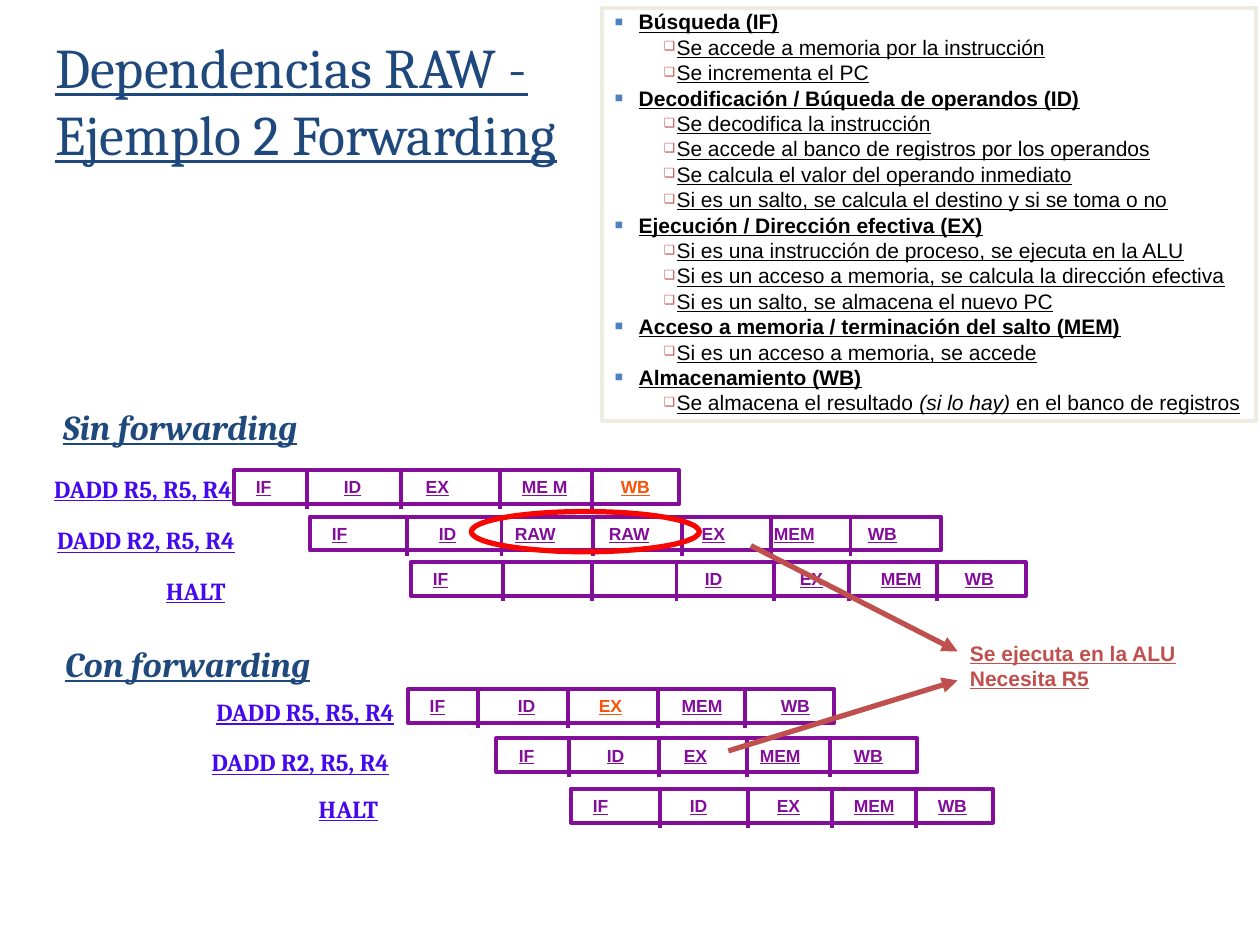
from dataclasses import dataclass

from lxml import etree
from pptx import Presentation
from pptx import util as u
from pptx.dml import color
from pptx.enum import shapes, text
from pptx.oxml import ns

HEX = {
    "row": "830E9A", "write": "F75309", "code": "4509EF", "head": "1F497D",
    "ring": "F70701", "note": "C0504D", "ink": "000000", "paper": "FFFFFF",
    "edge": "EEECE1", "mark": "4F81BD",
}
PAD = 7.2


@dataclass
class Row:
    """One instruction: box, stage labels with their x, and divider x."""
    left: float
    top: float
    width: float
    stages: list[tuple[str, float]]
    ticks: list[float]
    hot: str = ""  # stage shown in the highlight colour


@dataclass
class Label:
    words: str
    left: float
    top: float
    width: float


ROWS = [
    # Without forwarding
    Row(133.9, 268.6, 254.2,
        [("IF", 146.3), ("ID", 196.6), ("EX", 243.4), ("ME M", 298.3), ("WB", 354.9)],
        [175.7, 229, 285.8, 338.4], "WB"),
    Row(177.1, 295.2, 360.7,
        [("IF", 189.7), ("ID", 250.9), ("RAW", 294.3), ("RAW", 348),
         ("EX", 401.1), ("MEM", 442.3), ("WB", 496)],
        [232.6, 286.6, 339.1, 389.5, 440.6, 486]),
    Row(234.7, 321.1, 351.4,
        [("IF", 247.4), ("ID", 402.9), ("EX", 457.1), ("MEM", 503.4), ("WB", 551.4)],
        [287.3, 338.4, 386.6, 442.1, 485.3, 535.7]),
    # With forwarding
    Row(233.3, 393.8, 243.4,
        [("IF", 245.7), ("ID", 296), ("EX", 342.3), ("MEM", 389.7), ("WB", 446.3)],
        [272.9, 324.7, 375.8, 425.5], "EX"),
    Row(283.7, 421.9, 240.5,
        [("IF", 296.6), ("ID", 346.9), ("EX", 390.9), ("MEM", 434.3), ("WB", 488)],
        [325.4, 376.6, 427, 474.5]),
    Row(326.2, 450.7, 241.2,
        [("IF", 338.9), ("ID", 394.3), ("EX", 444), ("MEM", 488), ("WB", 536)],
        [377.3, 427.7, 475.2, 523.4]),
]

CODES = [
    Label("DADD R5, R5, R4", 23.8, 267.1, 116.6),
    Label("DADD R2, R5, R4", 25.6, 296.6, 116),
    Label("HALT", 87.8, 325.4, 49.7),
    Label("DADD R5, R5, R4", 116.6, 394.6, 116.6),
    Label("DADD R2, R5, R4", 113.8, 423.4, 116),
    Label("HALT", 175, 450, 49.7),
]
HEADS = [
    Label("Sin forwarding", 28.8, 228.2, 148.3),
    Label("Con forwarding", 30.2, 363.6, 154.8),
]

STEPS = {
    "Búsqueda (IF)": [
        "Se accede a memoria por la instrucción",
        "Se incrementa el PC"],
    "Decodificación / Búqueda de operandos (ID)": [
        "Se decodifica la instrucción",
        "Se accede al banco de registros por los operandos",
        "Se calcula el valor del operando inmediato",
        "Si es un salto, se calcula el destino y si se toma o no"],
    "Ejecución / Dirección efectiva (EX)": [
        "Si es una instrucción de proceso, se ejecuta en la ALU",
        "Si es un acceso a memoria, se calcula la dirección efectiva",
        "Si es un salto, se almacena el nuevo PC"],
    "Acceso a memoria / terminación del salto (MEM)": [
        "Si es un acceso a memoria, se accede"],
    "Almacenamiento (WB)": [
        "Se almacena el resultado |(si lo hay)| en el banco de registros"],
}


def rgb(name: str) -> color.RGBColor:
    return color.RGBColor.from_string(HEX[name])


def put(para, words: str, size: float = 12, font: str = "Arial", ink: str = "ink",
        bold: bool = True, slant: bool = False) -> None:
    """Add one underlined run to a paragraph."""
    run = para.add_run()
    run.text = words
    face = run.font
    face.size, face.name = u.Pt(size), font
    face.bold, face.italic, face.underline = bold, slant, True
    face.color.rgb = rgb(ink)


def frame(shape, wrap: bool = True):
    body = shape.text_frame
    body.word_wrap = wrap
    body.vertical_anchor = text.MSO_ANCHOR.TOP
    body.margin_left = body.margin_right = u.Pt(PAD)
    body.margin_top = body.margin_bottom = u.Pt(3.6)
    return body


def note(page, lines: list[str], left: float, top: float, width: float, high: float,
         wrap: bool = True, **look) -> None:
    """Add a text box, one paragraph a line."""
    body = frame(page.add_textbox(u.Pt(left), u.Pt(top), u.Pt(width), u.Pt(high)), wrap)
    for i, line in enumerate(lines):
        para = body.add_paragraph() if i else body.paragraphs[0]
        put(para, line, **look)


def form(page, kind, left: float, top: float, width: float, high: float,
         edge: str, thick: float, fill: str = ""):
    shape = page.add_shape(kind, u.Pt(left), u.Pt(top), u.Pt(width), u.Pt(high))
    shape.shadow.inherit = False
    if fill:
        shape.fill.solid()
        shape.fill.fore_color.rgb = rgb(fill)
    else:
        shape.fill.background()
    shape.line.color.rgb, shape.line.width = rgb(edge), u.Pt(thick)
    return shape


def rule(page, x1: float, y1: float, x2: float, y2: float, ink: str,
         thick: float, arrow: bool = False) -> None:
    line = page.add_connector(shapes.MSO_CONNECTOR.STRAIGHT,
                              u.Pt(x1), u.Pt(y1), u.Pt(x2), u.Pt(y2))
    line.line.color.rgb, line.line.width = rgb(ink), u.Pt(thick)
    if arrow:
        etree.SubElement(line.line._get_or_add_ln(), ns.qn("a:tailEnd"), type="triangle")
    etree.SubElement(line._element.spPr, ns.qn("a:effectLst"))


def draw(page, row: Row) -> None:
    """Draw one pipeline row, its labels set on tab stops."""
    group = page.add_group_shape().shapes
    box = form(group, shapes.MSO_SHAPE.RECTANGLE, row.left, row.top, row.width, 19.4,
               "row", 2.25)
    para = frame(box).paragraphs[0]
    para.alignment = text.PP_ALIGN.LEFT
    tabs = etree.SubElement(para._p.get_or_add_pPr(), ns.qn("a:tabLst"))
    for name, x in row.stages:
        stop = u.Pt(x - row.left - PAD)
        etree.SubElement(tabs, ns.qn("a:tab"), pos=str(stop), algn="l")
        put(para, "\t", size=10, ink="row")
        put(para, name, size=10, ink="write" if name == row.hot else "row")
    for x in row.ticks:
        rule(group, x, row.top + 0.5, x, row.top + 22.3, "row", 2.25)


def item(para, words: str, deep: bool) -> None:
    """Fill a bulleted paragraph; bars part off the slanted words."""
    para.level = int(deep)
    para.alignment = text.PP_ALIGN.LEFT
    para.line_spacing, para.space_before = 0.8, u.Pt(3)
    left, hang, ink, part, sign = (
        (35.3, -7.2, "note", 60, "❑") if deep else (13.7, -13.7, "mark", 65, "■"))
    props = para._p.get_or_add_pPr()
    props.set("marL", str(u.Pt(left)))
    props.set("indent", str(u.Pt(hang)))
    tint = etree.SubElement(props, ns.qn("a:buClr"))
    etree.SubElement(tint, ns.qn("a:srgbClr"), val=HEX[ink])
    etree.SubElement(props, ns.qn("a:buSzPct"), val=str(part * 1000))
    etree.SubElement(props, ns.qn("a:buFont"), typeface="Arial")
    etree.SubElement(props, ns.qn("a:buChar"), char=sign)
    for i, piece in enumerate(words.split("|")):
        put(para, piece, bold=not deep, slant=i == 1)


def main() -> None:
    deck = Presentation()
    deck.slide_width, deck.slide_height = u.Pt(720), u.Pt(540)
    page = deck.slides.add_slide(deck.slide_layouts[6]).shapes

    # Instructions and section heads
    for tag in CODES:
        note(page, [tag.words], tag.left, tag.top, tag.width, 24.5, wrap=False,
             size=14, font="Cambria", ink="code")
    for tag in HEADS:
        note(page, [tag.words], tag.left, tag.top, tag.width, 31.7, wrap=False,
             size=20, font="Cambria", ink="head", slant=True)

    # Pipeline rows and the ring round the stalls
    for row in ROWS:
        draw(page, row)
    form(page, shapes.MSO_SHAPE.OVAL, 269.3, 292.3, 130.3, 23, "ring", 3)

    # Arrows to the remark
    rule(page, 429.1, 311.8, 547.2, 372.2, "note", 3, arrow=True)
    rule(page, 416.2, 429.1, 547.2, 388.8, "note", 3, arrow=True)
    note(page, ["Se ejecuta en la ALU", "Necesita R5"], 547.2, 362.2, 132.5, 36, ink="note")

    # Title
    note(page, ["Dependencias RAW -", "Ejemplo 2 Forwarding"], 24.5, 15.1, 334.8, 56.9,
         size=32, font="Cambria", ink="head", bold=False)

    # Panel of stages
    body = frame(form(page, shapes.MSO_SHAPE.RECTANGLE, 344.2, 4.3, 373.7, 236.2,
                      "edge", 2.25, "paper"))
    lines = [(words, deep) for head, subs in STEPS.items()
             for words, deep in [(head, False), *((sub, True) for sub in subs)]]
    for i, (words, deep) in enumerate(lines):
        item(body.add_paragraph() if i else body.paragraphs[0], words, deep)

    deck.save("out.pptx")


if __name__ == "__main__":
    main()
